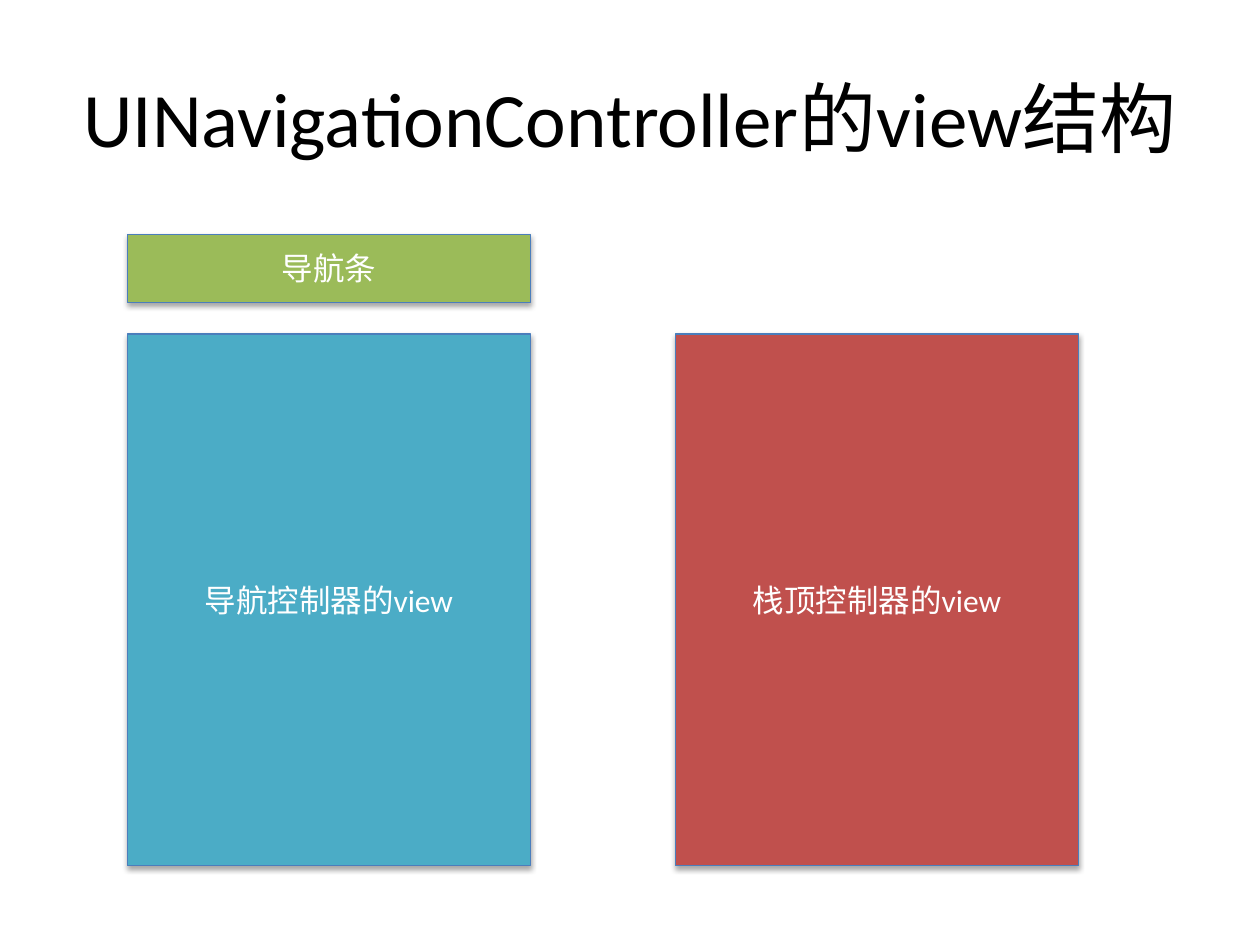
import pptx
import pptx.util
import pptx.dml.color
import pptx.enum.shapes
import pptx.enum.text

Inches = pptx.util.Inches
LEFT_COLUMN, RIGHT_COLUMN = 1.01, 5.36
BLOCK_WIDTH = 3.2
VIEW_TOP, VIEW_HEIGHT = 2.65, 4.22


def color(value):
    return pptx.dml.color.RGBColor.from_string(value)


def write_text(shape, text, size=18, font_color="FFFFFF", font_name="Calibri"):
    frame = shape.text_frame
    frame.word_wrap = True
    frame.vertical_anchor = pptx.enum.text.MSO_ANCHOR.MIDDLE
    paragraph = frame.paragraphs[0]
    paragraph.alignment = pptx.enum.text.PP_ALIGN.CENTER
    run = paragraph.add_run()
    run.text = text
    run.font.size = pptx.util.Pt(size)
    run.font.name = font_name
    run.font.color.rgb = color(font_color)


def set_title(slide, text):
    title = slide.shapes.title
    title.left, title.top = Inches(0.5), Inches(0.3)
    title.width, title.height = Inches(9), Inches(1.25)
    write_text(title, text, size=44, font_color="000000")


def add_block(slide, text, left, top, height, fill):
    shape = slide.shapes.add_shape(
        pptx.enum.shapes.MSO_SHAPE.RECTANGLE,
        Inches(left), Inches(top), Inches(BLOCK_WIDTH), Inches(height))
    shape.fill.solid()
    shape.fill.fore_color.rgb = color(fill)
    shape.line.color.rgb = color("4B7EBC")
    shape.line.width = pptx.util.Pt(0.75)
    write_text(shape, text)


def main():
    presentation = pptx.Presentation()
    presentation.slide_width = Inches(10)
    presentation.slide_height = Inches(7.5)
    slide = presentation.slides.add_slide(presentation.slide_layouts[5])
    set_title(slide, "UINavigationController的view结构")
    add_block(slide, "导航控制器的view", LEFT_COLUMN, VIEW_TOP, VIEW_HEIGHT, "4BACC6")
    add_block(slide, "栈顶控制器的view", RIGHT_COLUMN, VIEW_TOP, VIEW_HEIGHT, "C0504D")
    add_block(slide, "导航条", LEFT_COLUMN, 1.86, 0.54, "9BBB59")
    presentation.save("out.pptx")


if __name__ == "__main__":
    main()
